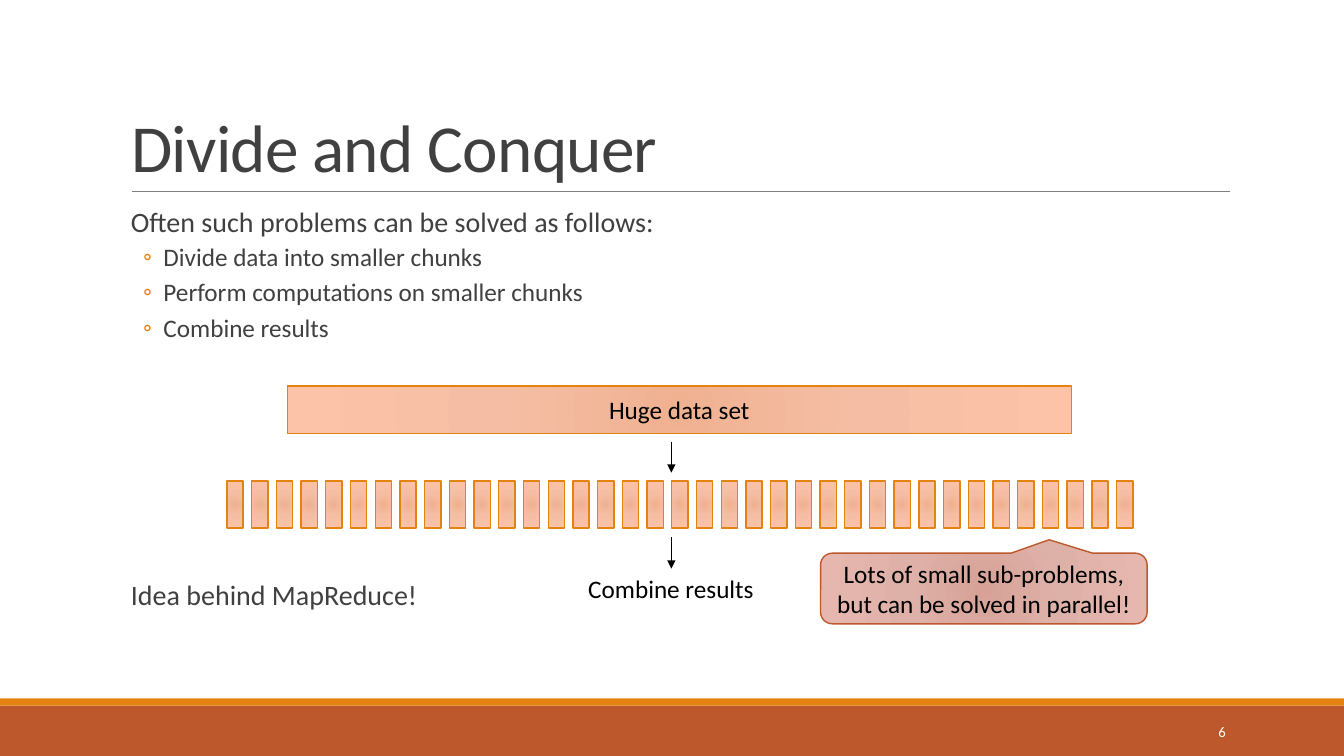
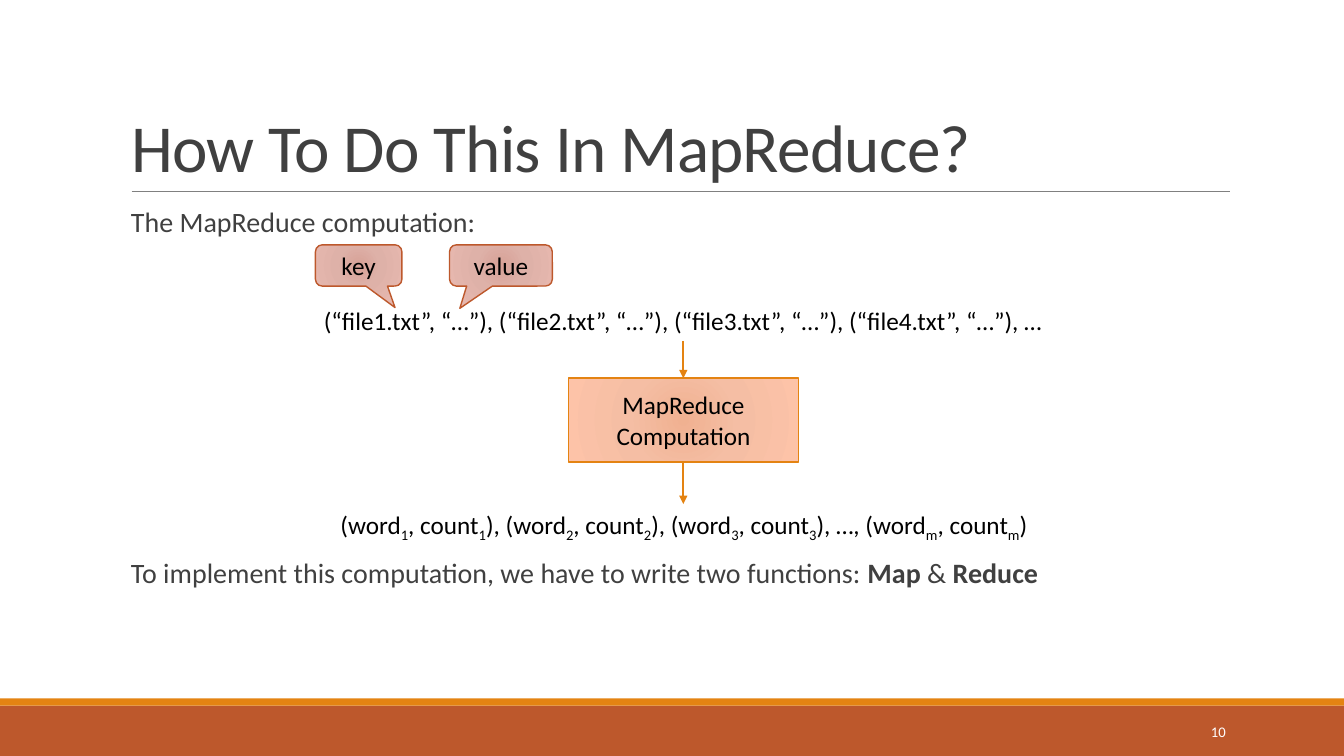
from lxml import etree
from pptx import Presentation
from pptx.enum import shapes, text
from pptx.dml.color import RGBColor
from pptx.oxml import parse_xml
from pptx.oxml.ns import nsdecls, qn
from pptx.util import Cm, Pt

COLORS = {
    "rust": "BD582C", "orange": "E48312", "rule": "808080",
    "heading": "404040", "black": "000000", "white": "FFFFFF",
}
# Outline colour and gradient stops, from the centre outwards
PEACH = ("orange", {0: "F0B191", 45: "F5BEA4", 100: "FDC3A8"})
ROSE = ("rust", {0: "D7A197", 45: "DEB1A8", 100: "E6B7AE"})
RECTANGLE = shapes.MSO_SHAPE.RECTANGLE
CALLOUT = shapes.MSO_SHAPE.ROUNDED_RECTANGULAR_CALLOUT


def write(para, words, color="black", size=18, **values):
    """Add formatted words to a paragraph, breaking at each newline."""
    for number, line in enumerate(words.split("\n")):
        if number:
            para.add_line_break()
        span = para.add_run()
        span.text = line
        for name, value in {"name": "Calibri", "size": Pt(size), **values}.items():
            setattr(span.font, name, value)
        span.font.color.rgb = RGBColor.from_string(COLORS[color])


def add_block(page, kind, place, look, words=""):
    """Add an outlined shape with a round gradient and centred words."""
    outline, stops = look
    block = page.shapes.add_shape(kind, *map(Cm, place))
    block.shadow.inherit = False
    block.line.color.rgb = RGBColor.from_string(COLORS[outline])
    block.line.width = Pt(1)
    block.fill.gradient()
    gradient = block.element.spPr.find(qn("a:gradFill"))
    for child in list(gradient):
        gradient.remove(child)
    marks = "".join(
        f'<a:gs pos="{share * 1000}"><a:srgbClr val="{color}"/></a:gs>'
        for share, color in stops.items())
    gradient.append(parse_xml(f'<a:gsLst {nsdecls("a")}>{marks}</a:gsLst>'))
    gradient.append(parse_xml(
        f'<a:path {nsdecls("a")} path="circle"><a:fillToRect l="100000" '
        't="100000" r="100000" b="100000"/></a:path>'))
    if words:
        block.text_frame.vertical_anchor = text.MSO_ANCHOR.MIDDLE
        para = block.text_frame.paragraphs[0]
        para.alignment = text.PP_ALIGN.CENTER
        write(para, words)
    return block


deck = Presentation()
deck.slide_width, deck.slide_height = Cm(33.87), Cm(19.05)

# Title and body positions, shared through the layout
layout = deck.slide_layouts[1]
for holder, place in zip(layout.placeholders, [(3.05, 0.79, 27.94, 4.04),
                                               (3.05, 5.13, 27.94, 11.18)]):
    holder.left, holder.top, holder.width, holder.height = map(Cm, place)

# Per page: title, number, and body lines as (level, space before, spans)
contents = [
    ("Divide and Conquer", "6", [
        (0, 0, ["Often such problems can be solved as follows:"]),
        (1, 2, ["Divide data into smaller chunks"]),
        (1, 2, ["Perform computations on smaller chunks"]),
        (1, 2, ["Combine results"]),
        (0, 166, ["Idea behind MapReduce!"]),
    ]),
    ("How To Do This In MapReduce?", "10", [
        (0, 0, ["The MapReduce computation:"]),
        (0, 227, ["To implement this computation, we have to write two functions: ",
                  "Map", " & ", "Reduce"]),
    ]),
]

for heading, number, lines in contents:
    page = deck.slides.add_slide(layout)

    # Footer bands and title rule
    for color, top, height in [("rust", 17.78, 1.27), ("orange", 17.6, 0.18)]:
        band = page.shapes.add_shape(RECTANGLE, 0, Cm(top), deck.slide_width, Cm(height))
        band.shadow.inherit = False
        band.fill.solid()
        band.fill.fore_color.rgb = RGBColor.from_string(COLORS[color])
        band.line.fill.background()
    rule = page.shapes.add_connector(
        shapes.MSO_CONNECTOR.STRAIGHT, Cm(3.32), Cm(4.82), Cm(31), Cm(4.82))
    rule.line.color.rgb = RGBColor.from_string(COLORS["rule"])
    rule.line.width = Pt(0.5)
    etree.SubElement(rule.element.spPr, qn("a:effectLst"))

    # Title
    title = page.shapes.title
    title.text_frame.vertical_anchor = text.MSO_ANCHOR.BOTTOM
    title.text_frame.auto_size = text.MSO_AUTO_SIZE.NONE
    para = title.text_frame.paragraphs[0]
    para.alignment = text.PP_ALIGN.LEFT
    para.line_spacing = 0.85
    write(para, heading, "heading", 48)
    for marks in title.element.iter(qn("a:rPr")):
        marks.set("spc", "-50")

    # Body list
    body = page.placeholders[1]
    frame = body.text_frame
    frame.auto_size = text.MSO_AUTO_SIZE.NONE
    frame.margin_left = frame.margin_right = 0
    for position, (level, before, spans) in enumerate(lines):
        para = frame.add_paragraph() if position else frame.paragraphs[0]
        settings = {"level": level, "line_spacing": 0.9, "space_before": Pt(before),
                    "space_after": Pt(4 if level else 2)}
        for name, value in settings.items():
            setattr(para, name, value)
        layout_marks = list(body.element.iter(qn("a:pPr")))[-1]
        layout_marks.set("marL", str(Cm(1.07 if level else 0.25)))
        layout_marks.set("indent", str(Cm(-0.51 if level else 0)))
        if level:
            tint = etree.SubElement(layout_marks, qn("a:buClr"))
            etree.SubElement(tint, qn("a:srgbClr"), val=COLORS["orange"])
            etree.SubElement(layout_marks, qn("a:buFont"), typeface="Calibri")
            etree.SubElement(layout_marks, qn("a:buChar"), char="◦")
        else:
            etree.SubElement(layout_marks, qn("a:buNone"))
        for order, words in enumerate(spans):
            write(para, words, "heading", 18 if level else 20, bold=order % 2 == 1)

    # Page number
    box = page.shapes.add_textbox(Cm(27.51), Cm(17.93), Cm(3.63), Cm(1.02))
    box.text_frame.word_wrap = True
    box.text_frame.vertical_anchor = text.MSO_ANCHOR.MIDDLE
    para = box.text_frame.paragraphs[0]
    para.alignment = text.PP_ALIGN.RIGHT
    write(para, number, "white", 10.5)

divide, compute = deck.slides

# Data set and its equally spaced chunks
add_block(divide, RECTANGLE, (7.24, 9.73, 19.76, 1.19), PEACH, "Huge data set")
chunks, first, last = 37, 5.72, 28.14
for chunk in range(chunks):
    left = first + chunk * (last - first) / (chunks - 1)
    add_block(divide, RECTANGLE, (left, 12.12, 0.41, 1.19), PEACH)

# Computation
add_block(compute, RECTANGLE, (14.33, 9.53, 5.79, 2.11), PEACH, "MapReduce\nComputation")

# Callouts, each with the offset of its tip
for page, place, tip, words in [
    (divide, (20.68, 13.94, 8.23, 1.78), (0.2, -0.69),
     "Lots of small sub-problems,\nbut can be solved in parallel!"),
    (compute, (7.95, 6.17, 2.18, 1.04), (0.42, 1.02), "key"),
    (compute, (11.33, 6.17, 2.59, 1.04), (-0.4, 1.04), "value"),
]:
    callout = add_block(page, CALLOUT, place, ROSE, words)
    callout.adjustments[0], callout.adjustments[1] = tip

# Inputs and results; every second span is a subscript
pairs = ["(word", "1", ", count", "1", "), (word", "2", ", count", "2", "), (word", "3",
         ", count", "3", "), …, (word", "m", ", count", "m", ")"]
files = "(“file1.txt”, “…”), (“file2.txt”, “…”), (“file3.txt”, “…”), (“file4.txt”, “…”), …"
for page, left, top, width, spans in [
    (divide, 14.55, 14.33, 4.72, ["Combine results"]),
    (compute, 7.82, 7.57, 18.8, [files]),
    (compute, 8.08, 12.7, 18.31, pairs),
]:
    box = page.shapes.add_textbox(Cm(left), Cm(top), Cm(width), Cm(1.02))
    box.text_frame.word_wrap = False
    para = box.text_frame.paragraphs[0]
    para.alignment = text.PP_ALIGN.CENTER
    for words in spans:
        write(para, words)
    for marks in list(box.element.iter(qn("a:rPr")))[1::2]:
        marks.set("baseline", "-25000")

# Downward arrows
for page, color, x, top, bottom in [
    (divide, "black", 16.92, 11.13, 11.91),
    (divide, "black", 16.92, 13.54, 14.33),
    (compute, "orange", 17.22, 8.59, 9.53),
    (compute, "orange", 17.22, 11.63, 12.7),
]:
    arrow = page.shapes.add_connector(
        shapes.MSO_CONNECTOR.STRAIGHT, Cm(x), Cm(top), Cm(x), Cm(bottom))
    arrow.line.color.rgb = RGBColor.from_string(COLORS[color])
    arrow.line.width = Pt(1.25)
    etree.SubElement(arrow.element.spPr.find(qn("a:ln")), qn("a:tailEnd"), type="triangle")
    etree.SubElement(arrow.element.spPr, qn("a:effectLst"))

deck.save("out.pptx")
